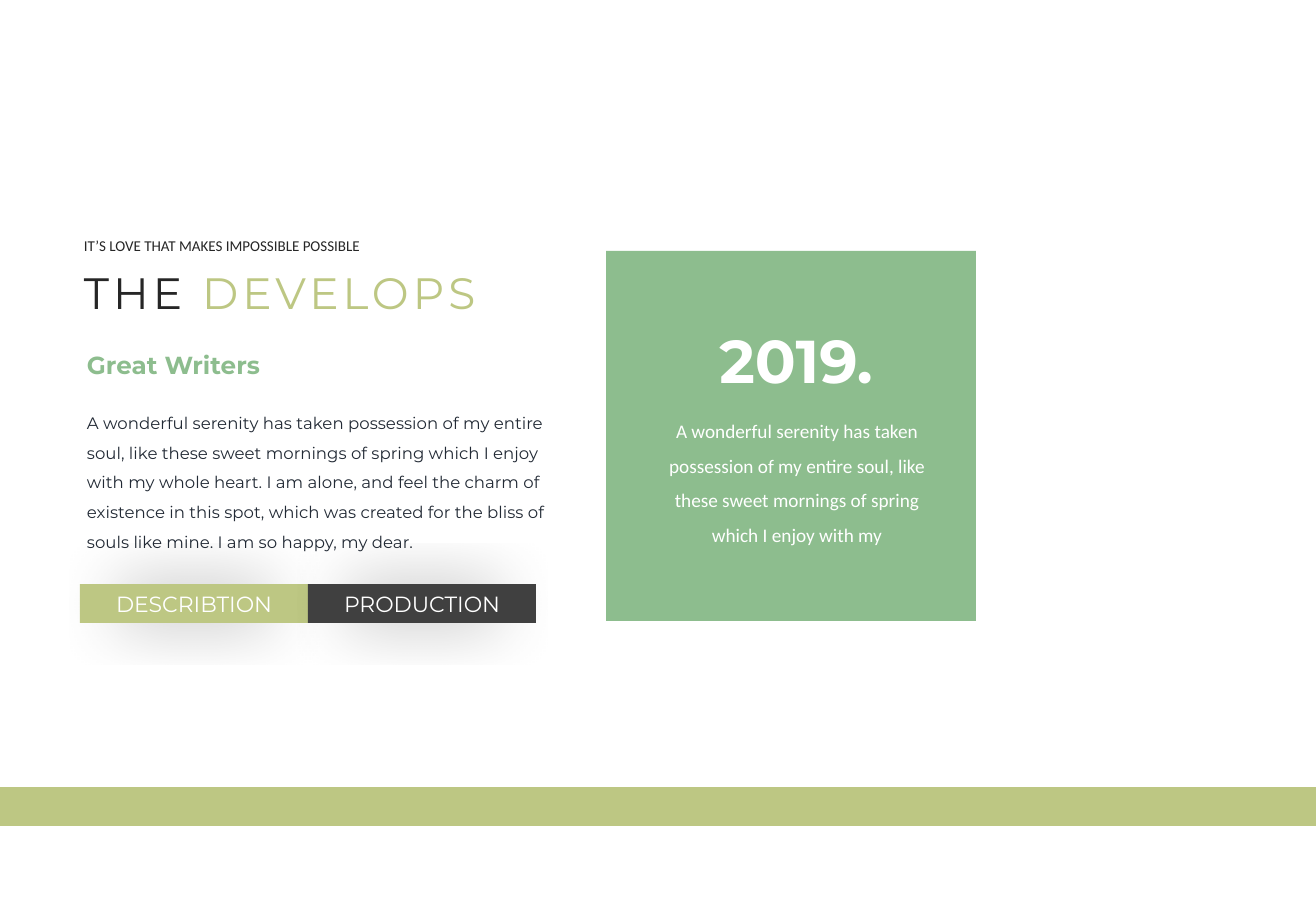
from lxml.etree import SubElement
from pptx import Presentation
from pptx.dml.color import RGBColor
from pptx.enum.shapes import MSO_SHAPE
from pptx.enum.text import MSO_ANCHOR, MSO_AUTO_SIZE, PP_ALIGN
from pptx.oxml.ns import qn
from pptx.util import Emu, Pt

PX = 914400 / 121.5
COLORS = {
    "olive": "BDC783",
    "green": "8DBD8E",
    "charcoal": "404040",
    "ink": "262626",
    "navy": "222A35",
    "white": "FFFFFF",
    "black": "000000",
}


def px(*lengths):
    return [Emu(round(length * PX)) for length in lengths]


class SlideBuilder:
    def __init__(self, slide, font="Montserrat"):
        self.slide = slide
        self.font = font

    def fill_frame(self, frame, runs, size, font=None, bold=False, tracking=0,
                   **paragraph_format):
        """Fill a frame with one paragraph of (text, colour) runs."""
        paragraph = frame.paragraphs[0]
        for key, value in paragraph_format.items():
            setattr(paragraph, key, value)
        run_format = {"size": Pt(size), "name": font or self.font, "bold": bold}
        for words, color in runs:
            run = paragraph.add_run()
            run.text = words
            for key, value in run_format.items():
                setattr(run.font, key, value)
            run.font.color.rgb = RGBColor.from_string(COLORS[color])
            if tracking:
                run.font._element.set("spc", str(round(tracking * 100)))

    def text(self, box, runs, size, wrap=True, **style):
        frame = self.slide.shapes.add_textbox(*px(*box)).text_frame
        frame.word_wrap = wrap
        frame.auto_size = MSO_AUTO_SIZE.SHAPE_TO_FIT_TEXT
        self.fill_frame(frame, runs, size, **style)

    def rect(self, box, color):
        block = self.slide.shapes.add_shape(MSO_SHAPE.RECTANGLE, *px(*box))
        block.shadow.inherit = False
        block.fill.solid()
        block.fill.fore_color.rgb = RGBColor.from_string(COLORS[color])
        block.line.fill.background()
        return block

    def glow(self, block, blur, alpha, scale):
        """Add a soft centred shadow; blur in points, the rest in percent."""
        effects = block._element.spPr.find(qn("a:effectLst"))
        shadow = SubElement(effects, qn("a:outerShdw"), {
            "blurRad": str(Pt(blur)), "sx": str(scale * 1000), "sy": str(scale * 1000),
            "algn": "ctr", "rotWithShape": "0"})
        tint = SubElement(shadow, qn("a:srgbClr"), val=COLORS["black"])
        SubElement(tint, qn("a:alpha"), val=str(alpha * 1000))

    def button(self, box, label, color):
        block = self.rect(box, color)
        self.glow(block, blur=41, alpha=40, scale=68)
        frame = block.text_frame
        frame.word_wrap = True
        frame.auto_size = MSO_AUTO_SIZE.SHAPE_TO_FIT_TEXT
        frame.vertical_anchor = MSO_ANCHOR.MIDDLE
        self.fill_frame(frame, [(label, "white")], 13, alignment=PP_ALIGN.CENTER)


def main():
    deck = Presentation()
    deck.slide_width, deck.slide_height = px(1316, 911)
    page = SlideBuilder(deck.slides.add_slide(deck.slide_layouts[6]))

    page.rect((0, 787, 1316, 39), "olive")
    page.rect((606, 251, 370, 370), "green")

    page.text((72, 260, 501, 66), [("THE ", "ink"), ("DEVELOPS", "olive")], 26, tracking=2.4)
    page.text((72, 231, 306, 30), [("IT’S LOVE THAT MAKES IMPOSSIBLE POSSIBLE", "ink")],
              8.9, wrap=False, font="Calibri")

    serenity = ("A wonderful serenity has taken possession of my entire soul, "
                "like these sweet mornings of spring which I enjoy with my")
    page.text((648, 402, 298, 148), [(serenity, "white")], 11.4, font="Calibri",
              alignment=PP_ALIGN.CENTER, line_spacing=1.5)
    page.text((655, 317, 282, 85), [("2019.", "white")], 35.8, bold=True,
              alignment=PP_ALIGN.CENTER)

    story = serenity + (" whole heart. I am alone, and feel the charm of existence in this spot, "
                        "which was created for the bliss of souls like mine. "
                        "I am so happy, my dear.")
    page.text((75, 397, 501, 158), [(story, "navy")], 9.8, line_spacing=1.5)

    button_width = 228
    buttons = [("DESCRIBTION", "olive"), ("PRODUCTION", "charcoal")]
    for column, (label, color) in enumerate(buttons):
        page.button((80 + column * button_width, 584, button_width, 39), label, color)

    page.text((75, 344, 282, 43), [("Great Writers", "green")], 14.6, bold=True)

    deck.save("out.pptx")


if __name__ == "__main__":
    main()
